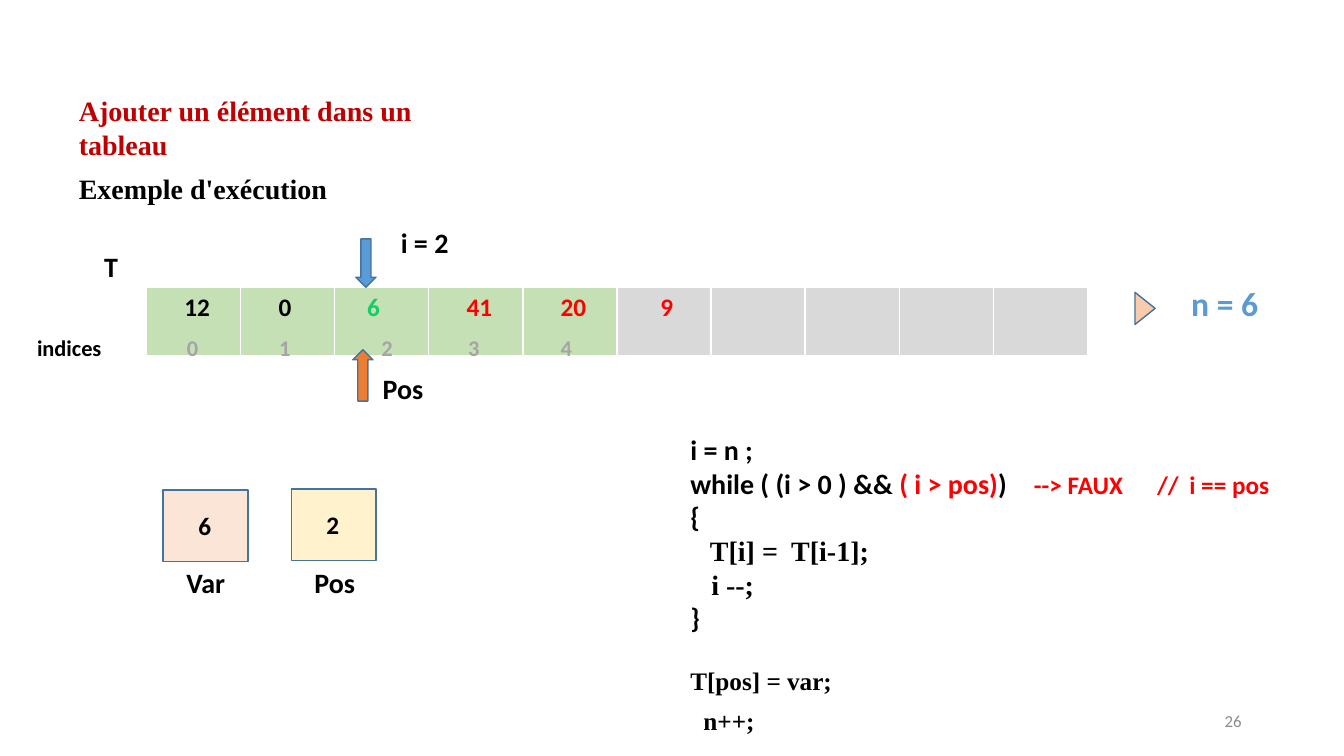
from lxml.etree import SubElement
from pptx import Presentation
from pptx.dml.color import RGBColor as Color
from pptx.enum.shapes import MSO_SHAPE as Shape
from pptx.enum.text import MSO_ANCHOR as Anchor, PP_ALIGN as Align
from pptx.oxml.ns import qn
from pptx.util import Pt

COLORS = {
    "black": "000000", "title": "C00000", "red": "FF0000", "blue": "5B9BD5",
    "orange": "ED7D31", "outline": "43739E", "index": "A5A5A5",
    "number": "8C8C8C", "used": "C5E0B4", "free": "D9D9D9",
    "var": "FBE5D6", "pos": "FFF2CC", "peach": "F8CBAD",
    "green": "14CD68", "dark green": "0B6E38",
}
SERIF = "Times New Roman"


class SlideBuilder:
    def __init__(self, slide, font="Calibri"):
        self.slide = slide
        self.font = font

    def color(self, name):
        return Color.from_string(COLORS[name])

    def style(self, span, size, color="black", font=None, bold=True):
        span.font.name = font or self.font
        span.font.size = Pt(size)
        span.font.bold = bold
        span.font.color.rgb = self.color(color)

    def tabs(self, para, stops, align="l"):
        tab_list = SubElement(para._p.get_or_add_pPr(), qn("a:tabLst"))
        for stop in stops:
            SubElement(tab_list, qn("a:tab"), pos=str(Pt(stop)), algn=align)

    def text(self, content, left, top, width, height, size=20, color="black",
             font=None, bold=True):
        box = self.slide.shapes.add_textbox(Pt(left), Pt(top), Pt(width), Pt(height))
        box.text_frame.word_wrap = True
        box.text_frame.text = content
        for para in box.text_frame.paragraphs:
            for span in para.runs:
                self.style(span, size, color, font, bold)
        return box.text_frame

    def shape(self, kind, left, top, width, height, fill, rotation=0):
        shape = self.slide.shapes.add_shape(
            kind, Pt(left), Pt(top), Pt(width), Pt(height))
        shape.shadow.inherit = False
        shape.fill.solid()
        shape.fill.fore_color.rgb = self.color(fill)
        shape.line.color.rgb = self.color("outline")
        shape.line.width = Pt(1)
        shape.rotation = rotation

    def array(self, values, columns, used, left, top, width, height):
        table = self.slide.shapes.add_table(
            1, columns, Pt(left), Pt(top), Pt(width), Pt(height)).table
        for column in range(columns):
            cell = table.cell(0, column)
            cell.fill.solid()
            cell.fill.fore_color.rgb = self.color("used" if column < used else "free")
            if column < len(values):
                value, color, indent = values[column]
                cell.text = value
                cell.margin_left = Pt(indent)
                self.style(cell.text_frame.paragraphs[0].runs[0], 18, color)
        return table

    def code(self, lines, left, top, width, height):
        frame = self.text("\n".join("" for _ in lines), left, top, width, height)
        for para, (indent, font, spans) in zip(frame.paragraphs, lines):
            para._p.get_or_add_pPr().set("marL", str(Pt(indent)))
            for content, color in spans:
                span = para.add_run()
                span.text = content
                self.style(span, 20, color, font)
        return frame


def main():
    deck = Presentation()
    deck.slide_width, deck.slide_height = Pt(960), Pt(540)
    page = SlideBuilder(deck.slides.add_slide(deck.slide_layouts[6]))

    number = page.text("26", 678, 500.5, 216, 28.8, 12, "number", bold=False)
    number.vertical_anchor = Anchor.MIDDLE
    number.paragraphs[0].alignment = Align.RIGHT
    page.text("Ajouter un élément dans un tableau", 49.2, 63.4, 319.7, 31.5,
              color="title", font=SERIF)
    page.text("Exemple d'exécution", 49.2, 118.8, 556, 55.4, font=SERIF)

    values = [("12", "black", 27), ("0", "black", 27), ("6", "green", 23),
              ("41", "red", 27), ("20", "red", 27), ("9", "red", 31)]
    array = page.array(values, 10, 5, 104.8, 205.5, 672, 48.5)
    inserted = array.cell(0, 2).text_frame.paragraphs[0].runs[0].font.fill
    inserted.gradient()
    inserted.gradient_angle = 0
    for stop, name in zip(inserted.gradient_stops, ("green", "dark green")):
        stop.color.rgb = page.color(name)

    page.text("n = 6", 843.8, 198.7, 68, 36, 24, "blue")
    page.text("T", 67.2, 175, 27, 31.5)
    indices = page.text("indices", 19.4, 235.4, 424.8, 26.6, 16).paragraphs[0]
    for index in range(5):
        span = indices.add_run()
        span.text = f"\t{index}"
        page.style(span, 16, "index")
    page.tabs(indices, (111, 177, 250, 312, 378), "ctr")

    variables = [("Var", "6", "var", 349.9), ("Pos", "2", "pos", 349.2)]
    for column, (name, value, fill, top) in enumerate(variables):
        left = 116.6 + 91.5 * column
        page.shape(Shape.RECTANGLE, left, top, 60.5, 51.1, fill)
        page.text(name, left + 9.4, 400.3, 50, 31.5)
        page.text(value, left + 18, top + 10.8, 26, 28.8, 18)

    page.shape(Shape.DOWN_ARROW, 254.2, 170.6, 14.4, 34.6, "blue")
    page.text("i = 2", 279.2, 157.7, 56, 31.5)
    page.shape(Shape.UP_ARROW, 252, 249.8, 14.4, 36.7, "orange")
    page.text("Pos", 266.2, 261.7, 50, 31.5)
    page.shape(Shape.ISOSCELES_TRIANGLE, 806.4, 213.1, 23, 14.4, "peach", 90)

    lines = [
        (0, None, [("i = n ;", "black")]),
        (0, None, [("while ( (i > 0 ) && ", "black"), ("( i > pos)", "red"), (")", "black")]),
        (0, None, [("{", "black")]),
        (14, SERIF, [("T[i] = \tT[i-1];", "black")]),
        (15, SERIF, [("i --;", "black")]),
        (0, None, [("}", "black")]),
    ]
    loop = page.code(lines, 486, 305.5, 339, 177)
    page.tabs(loop.paragraphs[3], [58])
    result = page.text("--> FAUX\t//\ti == pos", 731.5, 331.9, 200, 28.8, 18, "red")
    page.tabs(result.paragraphs[0], (88, 111))
    page.text("T[pos] = var;", 486, 471.6, 122, 28.8, 18, font=SERIF)
    page.text("n++;", 495.4, 500.4, 56, 28.8, 18, font=SERIF)

    deck.save("out.pptx")


if __name__ == "__main__":
    main()
